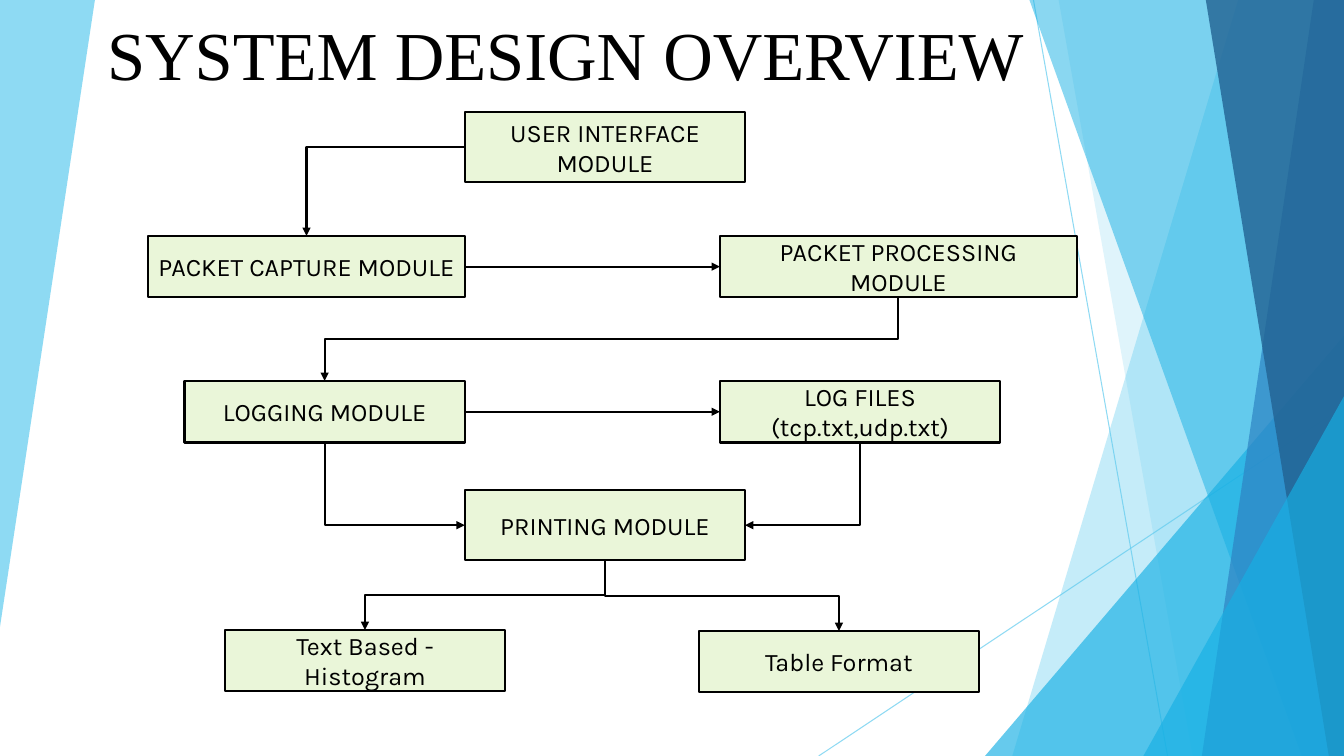
from pptx import Presentation
from pptx.dml.color import RGBColor
from pptx.enum.shapes import MSO_CONNECTOR, MSO_SHAPE
from pptx.enum.text import MSO_ANCHOR, PP_ALIGN
from pptx.oxml.ns import qn
from pptx.util import Inches, Pt
from lxml.etree import SubElement

COLORS = {"ink": "000000", "box": "EAF6D9", "sky": "5FCBEF", "cyan": "17B0E4",
          "blue": "2E83C3", "navy": "226292"}
TITLE = "SYSTEM DESIGN OVERVIEW"

# Modules: text, left, top, width, height
MODULES = {
    "interface": ("USER INTERFACE MODULE", 4.61, 1.11, 2.78, 0.7),
    "capture": ("PACKET CAPTURE MODULE", 1.47, 2.34, 3.14, 0.61),
    "processing": ("PACKET PROCESSING MODULE", 7.14, 2.34, 3.54, 0.61),
    "logging": ("LOGGING MODULE", 1.83, 3.78, 2.78, 0.61),
    "printing": ("PRINTING MODULE", 4.61, 4.86, 2.78, 0.7),
    "files": ("LOG FILES\n(tcp.txt,udp.txt)", 7.14, 3.78, 2.78, 0.61),
    "histogram": ("Text Based - Histogram", 2.23, 6.25, 2.78, 0.61),
    "table": ("Table Format", 6.93, 6.26, 2.78, 0.61),
}

# Flows: source, side it leaves, target, side it enters
TOP, LEFT, BOTTOM, RIGHT = range(4)
FLOWS = [
    ("interface", LEFT, "capture", TOP),
    ("capture", RIGHT, "processing", LEFT),
    ("logging", RIGHT, "files", LEFT),
    ("logging", BOTTOM, "printing", LEFT),
    ("files", BOTTOM, "printing", RIGHT),
    ("printing", BOTTOM, "histogram", TOP),
    ("printing", BOTTOM, "table", TOP),
    ("processing", BOTTOM, "logging", TOP),
]

# Backdrop, from back to front: corner points, colour, opacity in percent
LEFT_WEDGE = ([(0, 0), (0.94, 0), (0.94, 0.01), (0, 6.22)], "sky", 70)
RAYS = [((10.25, 0), (11.58, 7.5)), ((13.33, 4.03), (8.12, 7.5))]
RIGHT_FACETS = [
    ([(12.28, 0), (13.33, 0), (13.33, 7.5), (10.04, 7.5)], "sky", 36),
    ([(10.5, 0), (13.33, 0), (13.33, 7.5), (11.83, 7.5)], "sky", 20),
    ([(13.33, 3.33), (13.33, 7.5), (9.77, 7.5)], "cyan", 66),
    ([(10.21, 0), (13.33, 0), (13.33, 7.5), (12.91, 7.5)], "cyan", 50),
    ([(13.03, 0), (13.33, 0), (13.33, 7.5), (11.92, 7.5)], "blue", 70),
    ([(11.96, 0), (13.33, 0), (13.33, 7.5), (13.18, 7.5)], "navy", 80),
    ([(13.33, 3.93), (13.33, 7.5), (11.34, 7.5)], "cyan", 66),
]

prs = Presentation()
prs.slide_width, prs.slide_height = Inches(13.33), Inches(7.5)
slide = prs.slides.add_slide(prs.slide_layouts[5])
shapes = slide.shapes


def rgb(name):
    return RGBColor.from_string(COLORS[name])


def set_opacity(shape, percent):
    for color in shape._element.spPr.iter(qn("a:srgbClr")):
        SubElement(color, qn("a:alpha"), val=str(percent * 1000))


def add_facet(points, color, opacity):
    corners = [(Inches(x), Inches(y)) for x, y in points]
    builder = shapes.build_freeform(*corners[0], scale=1.0)
    builder.add_line_segments(corners[1:], close=True)
    facet = builder.convert_to_shape()
    facet.shadow.inherit = False
    facet.fill.solid()
    facet.fill.fore_color.rgb = rgb(color)
    facet.line.fill.background()
    set_opacity(facet, opacity)


def add_line(kind, start, end, color, width):
    line = shapes.add_connector(kind, *map(Inches, start + end))
    line.line.color.rgb = rgb(color)
    line.line.width = Pt(width)
    SubElement(line._element.spPr, qn("a:effectLst"))
    return line


def add_module(text, *place):
    box = shapes.add_shape(MSO_SHAPE.RECTANGLE, *map(Inches, place))
    box.shadow.inherit = False
    box.fill.solid()
    box.fill.fore_color.rgb = rgb("box")
    box.line.color.rgb = rgb("ink")
    box.line.width = Pt(1.5)
    box.text_frame.text = text
    box.text_frame.vertical_anchor = MSO_ANCHOR.MIDDLE
    for paragraph in box.text_frame.paragraphs:
        paragraph.alignment = PP_ALIGN.CENTER
        paragraph.font.name = "Karla"
        paragraph.font.size = Pt(18)
        paragraph.font.color.rgb = rgb("ink")
    return box


def side_point(module, side):
    left, top, width, height = MODULES[module][1:]
    return {TOP: (left + width / 2, top), LEFT: (left, top + height / 2),
            BOTTOM: (left + width / 2, top + height),
            RIGHT: (left + width, top + height / 2)}[side]


def shape_elbow(arrow, start, end, leaves, enters):
    """Turn the elbow so that it leaves and enters at the given sides."""
    dx, dy = end[0] - start[0], end[1] - start[1]
    if leaves == BOTTOM:
        width, height = abs(dy), abs(dx)
        turn, flip = (270, "flipH") if dx > 0 else (90, None)
    else:
        width, height = abs(dx), abs(dy)
        turn, flip = 180, "flipV"
    arrow.left = Inches((start[0] + end[0] - width) / 2)
    arrow.top = Inches((start[1] + end[1] - height) / 2)
    arrow.width, arrow.height = Inches(width), Inches(height)
    properties = arrow._element.spPr
    frame = properties.find(qn("a:xfrm"))
    for name in ("flipH", "flipV"):
        frame.attrib.pop(name, None)
    frame.set("rot", str(turn * 60000))
    if flip:
        frame.set(flip, "1")
    bends = 3 if (leaves, enters) == (BOTTOM, TOP) else 2
    properties.find(qn("a:prstGeom")).set("prst", f"bentConnector{bends}")


def add_flow(source, leaves, target, enters):
    start, end = side_point(source, leaves), side_point(target, enters)
    straight = (leaves, enters) == (RIGHT, LEFT)
    kind = MSO_CONNECTOR.STRAIGHT if straight else MSO_CONNECTOR.ELBOW
    arrow = add_line(kind, start, end, "ink", 1.5)
    arrow.begin_connect(boxes[source], leaves)
    arrow.end_connect(boxes[target], enters)
    if not straight:
        shape_elbow(arrow, start, end, leaves, enters)
    SubElement(arrow.line._get_or_add_ln(), qn("a:tailEnd"), type="triangle")


# Backdrop
add_facet(*LEFT_WEDGE)
for start, end in RAYS:
    set_opacity(add_line(MSO_CONNECTOR.STRAIGHT, start, end, "sky", 0.75), 70)
for facet in RIGHT_FACETS:
    add_facet(*facet)

# Title, in front of the backdrop
title = shapes.title
title.left, title.top = Inches(-2.18), Inches(0.1)
title.width, title.height = Inches(12.43), Inches(0.89)
title.text_frame.text = TITLE
title.text_frame.vertical_anchor = MSO_ANCHOR.BOTTOM
heading = title.text_frame.paragraphs[0]
heading.alignment = PP_ALIGN.RIGHT
heading.font.name = "Times New Roman"
heading.font.size = Pt(49)
heading.font.color.rgb = rgb("ink")
shapes._spTree.append(title._element)

# Flow chart
boxes = {key: add_module(*module) for key, module in MODULES.items()}
for flow in FLOWS:
    add_flow(*flow)

prs.save("out.pptx")
